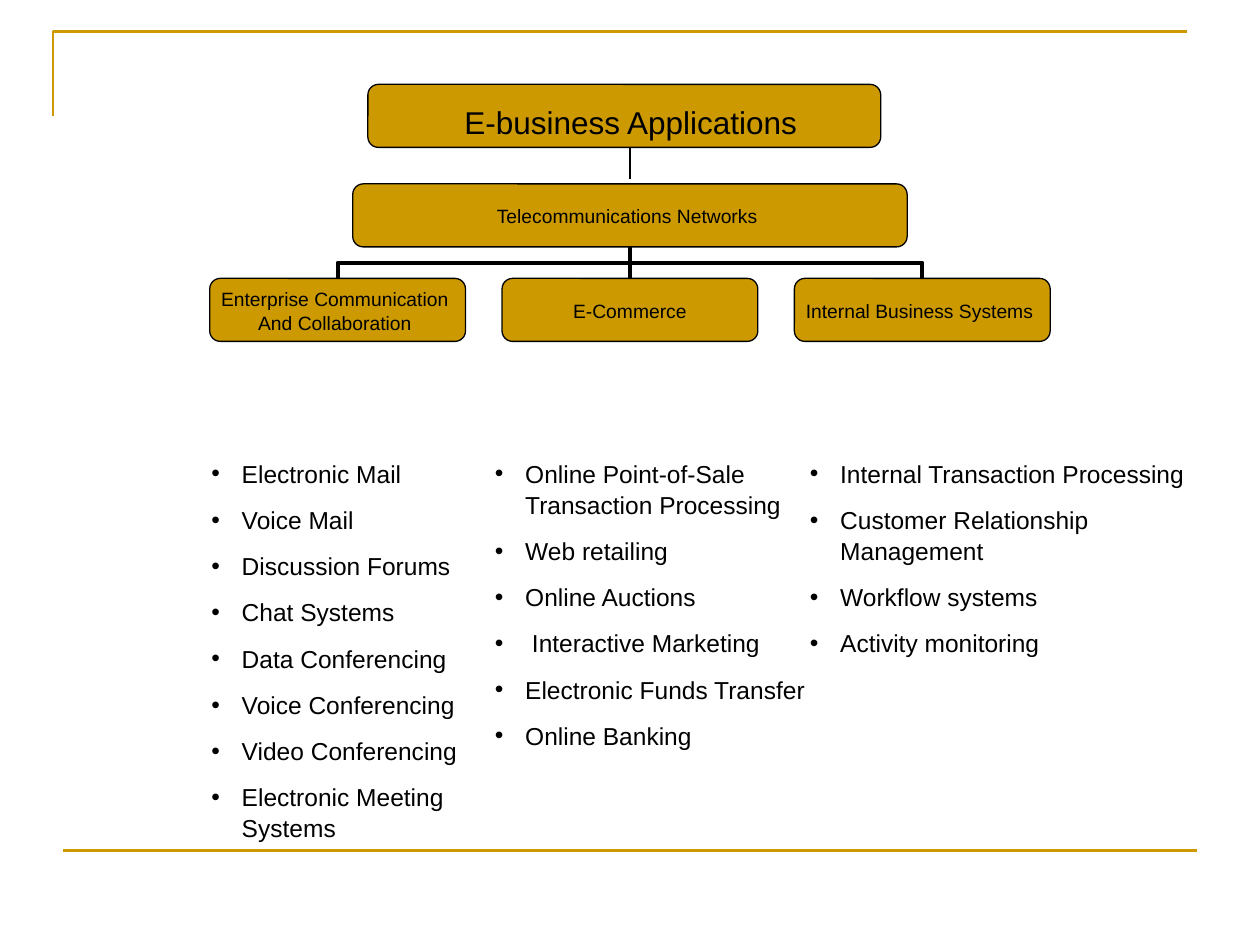
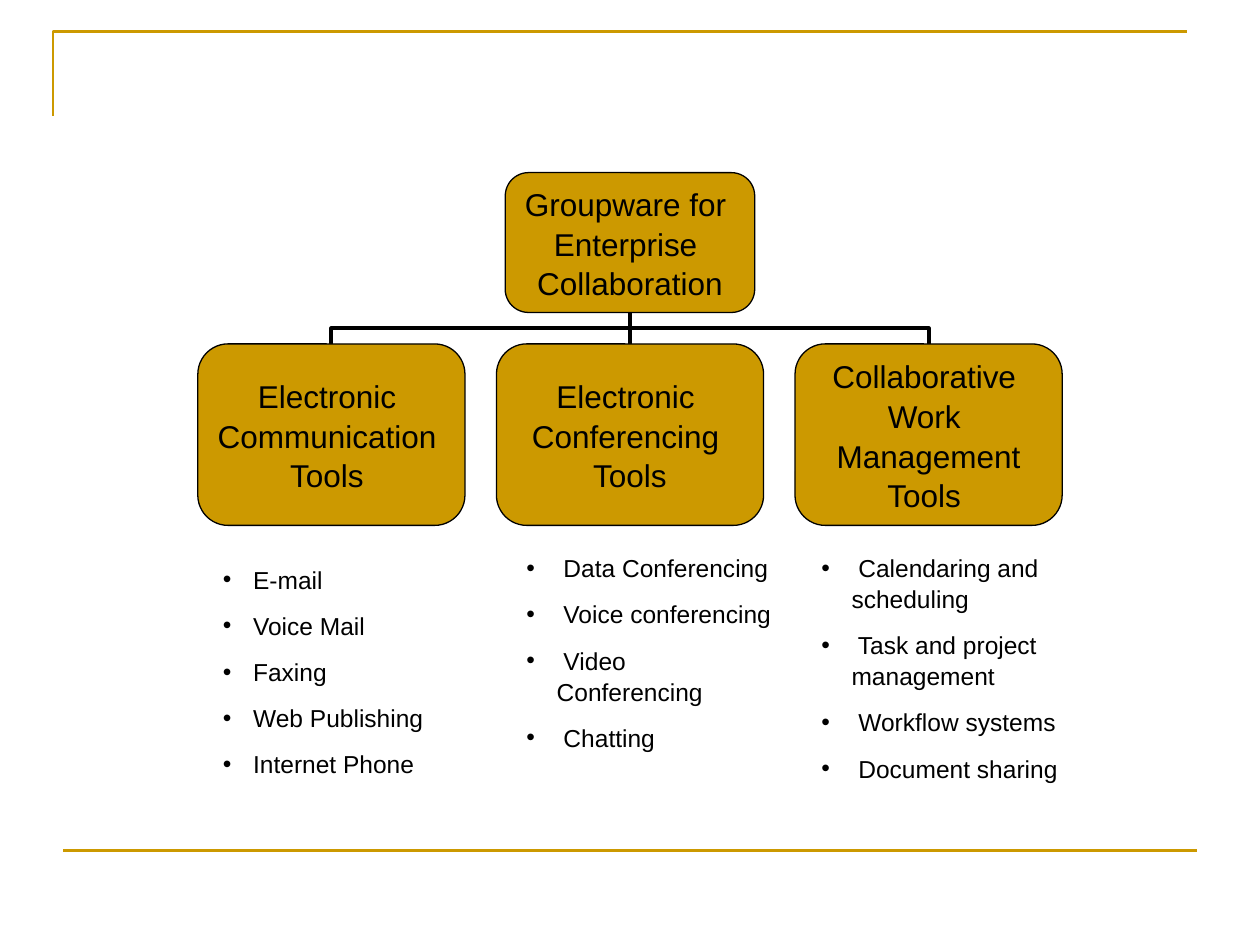
from lxml import etree
from pptx import Presentation
from pptx.dml.color import RGBColor
from pptx.enum.shapes import MSO_CONNECTOR, MSO_SHAPE
from pptx.enum.text import MSO_ANCHOR, PP_ALIGN
from pptx.oxml.ns import qn
from pptx.util import Inches, Pt

GOLD = RGBColor(0xCC, 0x99, 0x00)
BLACK = RGBColor(0x00, 0x00, 0x00)
FONT = "Arial"
ROUNDED = MSO_SHAPE.ROUNDED_RECTANGLE
STRAIGHT, ELBOW = MSO_CONNECTOR.STRAIGHT, MSO_CONNECTOR.ELBOW
LEFT, CENTER = PP_ALIGN.LEFT, PP_ALIGN.CENTER
TOP, MIDDLE = MSO_ANCHOR.TOP, MSO_ANCHOR.MIDDLE
MID_X = 5
GAP = 0.25
INDENT = 0.24


def add_text(s, text, at, size=14, align=LEFT, box=False, bullets=False, inset=(0.1, 0.05)):
    at = [Inches(v) for v in at]
    if box:
        sp = s.shapes.add_shape(ROUNDED, *at)
        sp.shadow.inherit = False
        sp.fill.solid()
        sp.fill.fore_color.rgb = GOLD
        sp.line.color.rgb = BLACK
        sp.line.width = Pt(0.75)
    else:
        sp = s.shapes.add_textbox(*at)
    tf = sp.text_frame
    tf.word_wrap = not box
    tf.vertical_anchor = MIDDLE if box else TOP
    tf.margin_left = tf.margin_right = Inches(inset[0])
    tf.margin_top = tf.margin_bottom = Inches(inset[1])
    for i, line in enumerate(text.split("\n") if text else []):
        p = tf.paragraphs[0] if i == 0 else tf.add_paragraph()
        p.alignment = align
        p.line_spacing = 1.05
        if bullets:
            if i:
                p.space_before = Pt(8.8)
            pPr = p._p.get_or_add_pPr()
            pPr.set("marL", str(Inches(INDENT)))
            pPr.set("indent", str(-Inches(INDENT)))
            etree.SubElement(pPr, qn("a:buFont"), typeface=FONT)
            etree.SubElement(pPr, qn("a:buChar"), char="•")
        r = p.add_run()
        r.text = line
        r.font.name = FONT
        r.font.size = Pt(size)
        r.font.color.rgb = BLACK


def add_line(s, kind, x1, y1, x2, y2, color=BLACK, width=2.25):
    cx = s.shapes.add_connector(kind, Inches(x1), Inches(y1), Inches(x2), Inches(y2))
    cx.line.color.rgb = color
    cx.line.width = Pt(width)
    etree.SubElement(cx._element.spPr, qn("a:effectLst"))
    return cx


charts = [
    dict(
        root="Telecommunications Networks ", root_at=(2.8, 1.46, 4.4, 0.5),
        size=11, inset=(0.06, 0.03), pitch=2.32, child=(2.03, 0.5),
        children=["Enterprise Communication \nAnd Collaboration ",
                  "E-Commerce", "Internal Business Systems "],
        lists=[
            ((1.58, 3.58, 2.25, 3.06),
             "Electronic Mail\nVoice Mail\nDiscussion Forums\nChat Systems\nData Conferencing\n"
             "Voice Conferencing\nVideo Conferencing\nElectronic Meeting Systems"),
            ((3.83, 3.58, 2.67, 2.35),
             "Online Point-of-Sale Transaction Processing\nWeb retailing\nOnline Auctions\n"
             " Interactive Marketing\nElectronic Funds Transfer\nOnline Banking"),
            ((6.33, 3.58, 3.17, 1.64),
             "Internal Transaction Processing\nCustomer Relationship Management\n"
             "Workflow systems\nActivity monitoring"),
        ],
    ),
    dict(
        root="Groupware for \nEnterprise \nCollaboration", root_at=(4.01, 1.37, 1.98, 1.11),
        size=18, inset=(0.1, 0.05), pitch=2.37, child=(2.12, 1.44),
        children=["Electronic \nCommunication \nTools ", "Electronic \nConferencing \nTools",
                  "Collaborative \nWork \nManagement\nTools "],
        lists=[
            ((1.67, 4.42, 1.92, 1.76),
             "E-mail\nVoice Mail\nFaxing\nWeb Publishing\nInternet Phone"),
            ((4.08, 4.33, 2.17, 2.11),
             " Data Conferencing\n Voice conferencing\n Video Conferencing\n Chatting"),
            ((6.42, 4.33, 2.17, 2.22),
             " Calendaring and scheduling\n Task and project management\n"
             " Workflow systems\n Document sharing"),
        ],
    ),
]

prs = Presentation()
prs.slide_width, prs.slide_height = Inches(10), Inches(7.5)
slides = []

for chart in charts:
    s = prs.slides.add_slide(prs.slide_layouts[6])
    slides.append(s)

    fb = s.shapes.build_freeform(Inches(0.42), Inches(0.92))
    fb.add_line_segments([(Inches(0.42), Inches(0.25)), (Inches(9.42), Inches(0.25))], close=False)
    corner = fb.convert_to_shape()
    corner.shadow.inherit = False
    corner.fill.background()
    corner.line.color.rgb = GOLD
    corner.line.width = Pt(1.5)
    add_line(s, STRAIGHT, 0.5, 6.75, 9.5, 6.75, GOLD, 1.5)

    root_bottom = chart["root_at"][1] + chart["root_at"][3]
    mid_y = root_bottom + GAP / 2
    centers = [MID_X + (i - 1) * chart["pitch"] for i in range(3)]
    for x in centers:
        mid_x, half = (x + MID_X) / 2, (MID_X - x) / 2
        cx = add_line(s, ELBOW, mid_x - GAP / 2, mid_y - half, mid_x + GAP / 2, mid_y + half)
        cx._element.spPr.find(qn("a:xfrm")).set("rot", "5400000")

    style = dict(size=chart["size"], align=CENTER, box=True, inset=chart["inset"])
    add_text(s, chart["root"], chart["root_at"], **style)
    w, h = chart["child"]
    for x, label in zip(centers, chart["children"]):
        add_text(s, label, (x - w / 2, root_bottom + GAP, w, h), **style)
    for at, items in chart["lists"]:
        add_text(s, items, at, bullets=True)

add_text(slides[0], "", (2.92, 0.67, 4.07, 0.5), box=True)
add_text(slides[0], "E-business Applications ", (3.08, 0.75, 3.92, 0.4), size=18, align=CENTER)
add_line(slides[0], STRAIGHT, MID_X, 1.17, MID_X, 1.42, width=1)

prs.save("out.pptx")
